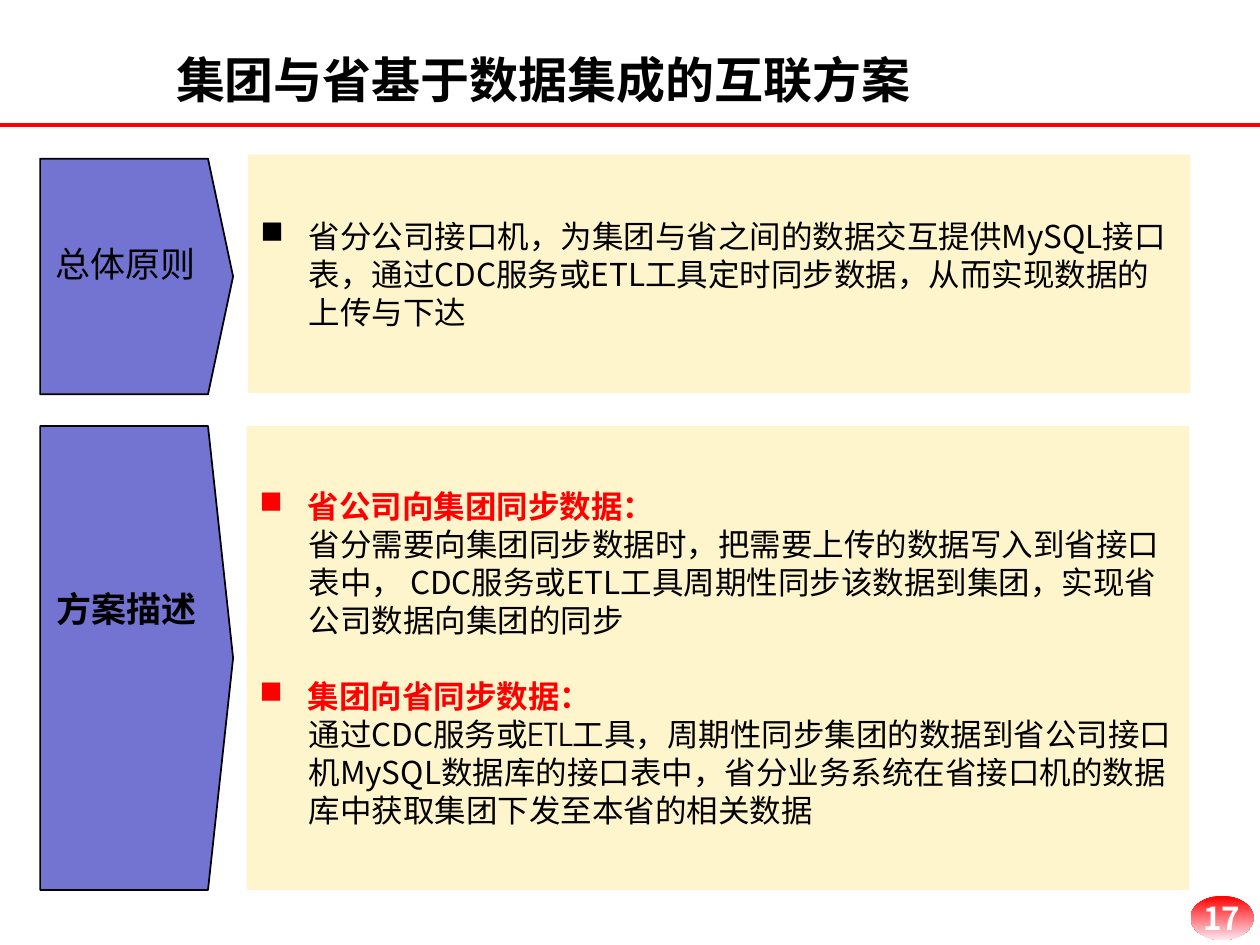
"""Build the slide on linking group and provinces through data integration."""
import pptx
import pptx.util
import pptx.dml.color
import pptx.enum.shapes
import pptx.enum.text
import pptx.oxml
import pptx.oxml.ns
import lxml.etree

Cm, Pt = pptx.util.Cm, pptx.util.Pt
SHAPES = pptx.enum.shapes.MSO_SHAPE
ANCHOR = pptx.enum.text.MSO_ANCHOR
ALIGN = pptx.enum.text.PP_ALIGN
NOTO = "Noto Sans CJK SC"
RED, BLACK, WHITE = "FF0000", "000000", "FFFFFF"
LINE_HEIGHT = Pt(21.7)


def color(value):
    """Turn a hex string into a colour."""
    return pptx.dml.color.RGBColor.from_string(value)


def write(para, text, shade=BLACK, **formats):
    """Add a formatted span to a paragraph."""
    span = para.add_run()
    span.text = text
    for name, value in ({"size": Pt(18), "name": NOTO, "bold": False} | formats).items():
        setattr(span.font, name, value)
    span.font.color.rgb = color(shade)
    east = lxml.etree.SubElement(span.font._element, pptx.oxml.ns.qn("a:ea"))
    east.set("typeface", NOTO)


deck = pptx.Presentation()
deck.slide_width, deck.slide_height = Cm(25.4), Cm(19.05)
page = deck.slides.add_slide(deck.slide_layouts[6])

rule = page.shapes.add_connector(
    pptx.enum.shapes.MSO_CONNECTOR.STRAIGHT, 0, Cm(2.52), Cm(25.4), Cm(2.52))
rule.line.color.rgb = color(RED)
rule.line.width = Pt(2)
lxml.etree.SubElement(rule._element.spPr, pptx.oxml.ns.qn("a:effectLst"))

badge = page.shapes.add_shape(SHAPES.OVAL, Cm(24), Cm(18.06), Cm(1.27), Cm(0.89))
badge.shadow.inherit = False
badge.line.fill.background()
badge.fill.gradient()
badge.fill.gradient_angle = 270
for stop, shade in zip(badge.fill.gradient_stops, (RED, "FEE7F2")):
    stop.color.rgb = color(shade)
badge.text_frame.word_wrap = False
badge.text_frame.vertical_anchor = ANCHOR.MIDDLE
badge.text_frame.paragraphs[0].alignment = ALIGN.CENTER
write(badge.text_frame.paragraphs[0], "17", WHITE, bold=True)

title = page.shapes.add_textbox(Cm(3.3), Cm(0.33), Cm(17.2), Cm(1.85))
for name, value in {"word_wrap": True, "vertical_anchor": ANCHOR.BOTTOM, "margin_bottom": 0}.items():
    setattr(title.text_frame, name, value)
write(title.text_frame.paragraphs[0], "集团与省基于数据集成的互联方案",
      size=Pt(28), name="DejaVu Sans", bold=True)

sections = [
    {
        "label": "方案描述", "bold": True,
        "arrow": (0.81, 8.59, 3.89, 9.35),
        "caption": (0.89, 11.71, 3.35, 1.12),
        "panel": (4.98, 8.59, 19, 9.35),
        "paras": [
            (True, [("省公司向集团同步数据：", RED, {"bold": True})]),
            (False, [("省分需要向集团同步数据时，把需要上传的数据写入到省接口表中， CDC服务或ETL工具"
                      "周期性同步该数据到集团，实现省公司数据向集团的同步", BLACK, {})]),
            (True, [("集团向省同步数据：", RED, {"bold": True})]),
            (False, [("通过CDC服", BLACK, {}),
                     ("务或ETL工具，", BLACK, {"name": "TeX Gyre Adventor"}),
                     ("周期性同步集团的数据到省公司接口机MySQL数据库的接口表中，省分业务系统在"
                      "省接口机的数据库中获取集团下发至本省的相关数据", BLACK, {})]),
        ],
    },
    {
        "label": "总体原则", "bold": False,
        "arrow": (0.81, 3.2, 3.89, 4.75),
        "caption": (0.86, 4.75, 3.43, 1.12),
        "panel": (5, 3.12, 19, 4.8),
        "paras": [
            (True, [("省分公司接口机，为集团与省之间的数据交互提供MySQL接口表，通过CDC服务或ETL工具"
                     "定时同步数据，从而实现数据的上传与下达", BLACK, {})]),
        ],
    },
]

for section in sections:
    arrow = page.shapes.add_shape(SHAPES.PENTAGON, *map(Cm, section["arrow"]))
    arrow.adjustments[0] = 0.13
    arrow.shadow.inherit = False
    arrow.fill.solid()
    arrow.fill.fore_color.rgb = color("7373D1")
    arrow.line.color.rgb = color(BLACK)
    arrow.line.width = Pt(1)

    caption = page.shapes.add_textbox(*map(Cm, section["caption"]))
    caption.text_frame.word_wrap = True
    caption.text_frame.vertical_anchor = ANCHOR.MIDDLE
    write(caption.text_frame.paragraphs[0], section["label"], size=Pt(20), bold=section["bold"])

    panel = page.shapes.add_shape(SHAPES.RECTANGLE, *map(Cm, section["panel"]))
    panel.shadow.inherit = False
    panel.fill.solid()
    panel.fill.fore_color.rgb = color("FFF5CC")
    panel.line.fill.background()
    box = panel.text_frame
    box.word_wrap = True
    box.vertical_anchor = ANCHOR.MIDDLE
    for index, (bulleted, spans) in enumerate(section["paras"]):
        para = box.add_paragraph() if index else box.paragraphs[0]
        properties = para._p.get_or_add_pPr()
        properties.set("marL", str(Cm(0.97 if bulleted else 0.99)))
        properties.set("indent", str(Cm(-0.97) if bulleted else 0))
        if bulleted:
            bullet = lxml.etree.SubElement(properties, pptx.oxml.ns.qn("a:buChar"))
            bullet.set("char", "■")
        formats = {
            "level": 0 if bulleted else 1,
            "alignment": ALIGN.LEFT,
            "line_spacing": LINE_HEIGHT,
            "space_before": LINE_HEIGHT if bulleted and index else Pt(0),
        }
        for name, value in formats.items():
            setattr(para, name, value)
        for text, shade, extras in spans:
            write(para, text, shade, **extras)

deck.save("out.pptx")
